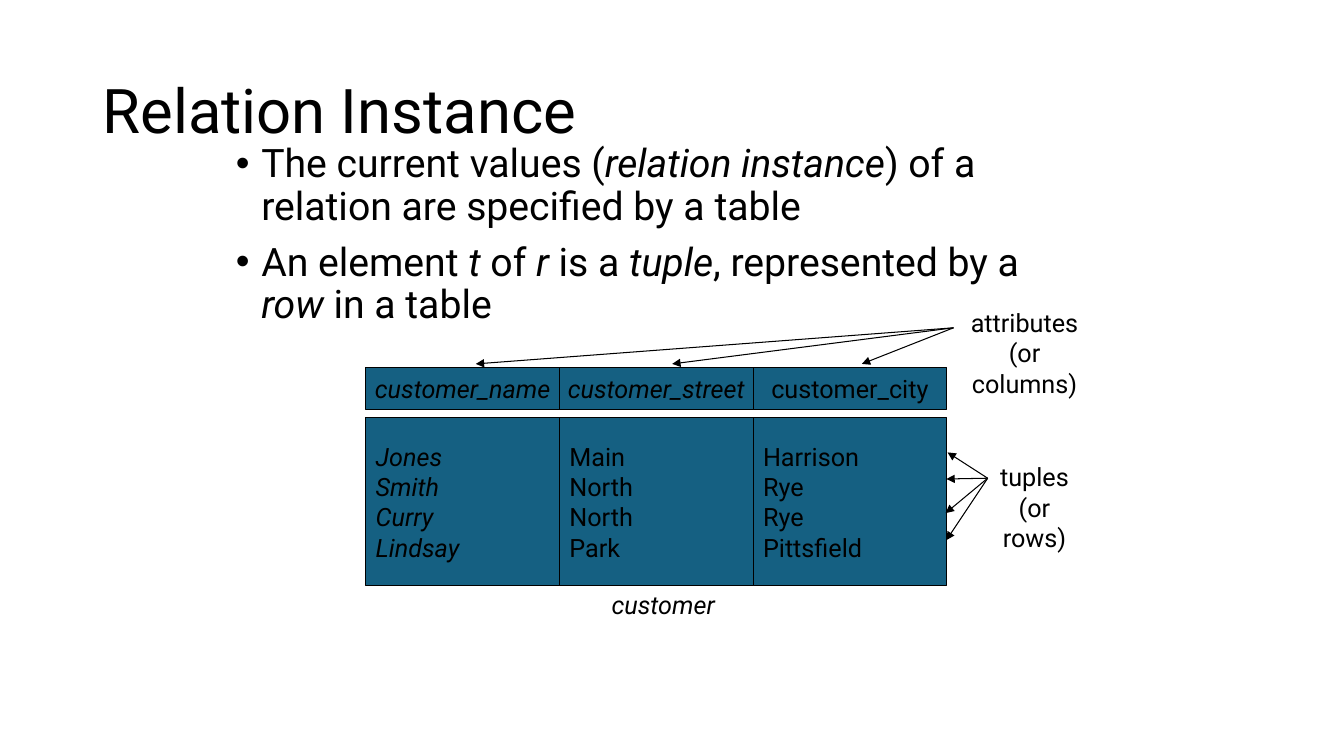
from pptx import Presentation
from pptx import util as u
from pptx.dml.color import RGBColor
from pptx.enum import shapes, text
from pptx.oxml.ns import qn
from lxml import etree

BLACK = RGBColor(0x00, 0x00, 0x00)
TEAL = RGBColor(0x15, 0x60, 0x82)
FONT = "Roboto"
LEFT, CENTER = text.PP_ALIGN.LEFT, text.PP_ALIGN.CENTER
TOP, MIDDLE = text.MSO_ANCHOR.TOP, text.MSO_ANCHOR.MIDDLE

# Attribute name, whether it is italic, its values, whether they are italic
CUSTOMER = [
    ("customer_name", True, ["Jones", "Smith", "Curry", "Lindsay"], True),
    ("customer_street", True, ["Main", "North", "North", "Park"], False),
    ("customer_city", False, ["Harrison", "Rye", "Rye", "Pittsfield"], False),
]
# Each point is a list of (words, italic)
POINTS = [
    [("The current values (", False), ("relation instance", True),
     (") of a relation are specified by a table", False)],
    [("An element ", False), ("t", True), (" of ", False), ("r", True),
     (" is a ", False), ("tuple", True), (", represented by a ", False),
     ("row ", True), ("in a table", False)],
]


def place(part, box):
    part.left, part.top, part.width, part.height = (u.Cm(v) for v in box)


def style_run(run, size, italic=False):
    run.font.name = FONT
    run.font.size = u.Pt(size)
    run.font.italic = italic
    run.font.color.rgb = BLACK


def write_lines(frame, lines, italic=False, align=CENTER, anchor=MIDDLE, inset=0.25):
    frame.word_wrap = True
    frame.vertical_anchor = anchor
    frame.margin_left = frame.margin_right = u.Cm(inset)
    frame.text = "\n".join(lines)
    for line in frame.paragraphs:
        line.alignment = align
        for run in line.runs:
            style_run(run, 18, italic)


def add_label(slide, box, lines, **style):
    label = slide.shapes.add_textbox(*(u.Cm(v) for v in box))
    write_lines(label.text_frame, lines, **style)
    label.text_frame.auto_size = text.MSO_AUTO_SIZE.SHAPE_TO_FIT_TEXT


def add_cell(slide, box, lines, **style):
    cell = slide.shapes.add_shape(shapes.MSO_SHAPE.RECTANGLE, *(u.Cm(v) for v in box))
    cell.shadow.inherit = False
    cell.fill.solid()
    cell.fill.fore_color.rgb = TEAL
    cell.line.color.rgb = BLACK
    cell.line.width = u.Pt(0.75)
    write_lines(cell.text_frame, lines, **style)


def add_arrow(slide, start, end):
    arrow = slide.shapes.add_connector(
        shapes.MSO_CONNECTOR.STRAIGHT, *(u.Cm(v) for v in start + end))
    arrow.line.color.rgb = BLACK
    arrow.line.width = u.Pt(0.75)
    etree.SubElement(arrow.line._get_or_add_ln(), qn("a:tailEnd"), type="triangle")
    etree.SubElement(arrow._element.spPr, qn("a:effectLst"))


def fill_title(slide, box):
    title = slide.shapes.title
    place(title, box)
    frame = title.text_frame
    frame.text = "Relation Instance"
    frame.auto_size = text.MSO_AUTO_SIZE.NONE
    frame.vertical_anchor = MIDDLE
    heading = frame.paragraphs[0]
    heading.alignment = LEFT
    heading.line_spacing = 0.9
    style_run(heading.runs[0], 44)


def fill_points(slide, box):
    body = slide.placeholders[1]
    place(body, box)
    frame = body.text_frame
    frame.auto_size = text.MSO_AUTO_SIZE.NONE
    for number, pieces in enumerate(POINTS):
        point = frame.add_paragraph() if number else frame.paragraphs[0]
        point.line_spacing = 0.9
        point.space_before = u.Pt(10)
        indent = u.Cm(0.64)
        properties = point._p.get_or_add_pPr()
        properties.set("marL", str(indent))
        properties.set("indent", str(-indent))
        etree.SubElement(properties, qn("a:buFont"), typeface="Arial")
        etree.SubElement(properties, qn("a:buChar"), char="•")
        for words, italic in pieces:
            run = point.add_run()
            run.text = words
            style_run(run, 28, italic)


def draw_relation(slide, box):
    left, top, width, height = box
    header_height, gap = 1.07, 0.2
    column_width = width / len(CUSTOMER)
    rows_top = top + header_height + gap
    rows_height = height - header_height - gap

    # Header cells and columns of values
    for number, (attribute, name_italic, values, values_italic) in enumerate(CUSTOMER):
        x = left + number * column_width
        add_cell(slide, (x, rows_top, column_width, rows_height), values,
                 italic=values_italic, align=LEFT)
        add_cell(slide, (x, top, column_width, header_height), [attribute],
                 italic=name_italic, inset=0)

    # Name of the relation
    add_label(slide, (left + 5.92, top + 5.48, 3.15, 1.02), ["customer"],
              italic=True, inset=0)

    # Labels, each with a fan of arrows
    add_label(slide, (left + 14.58, top - 1.63, 4.04, 1.78),
              ["attributes", "(or columns)"], anchor=TOP, inset=0.5)
    for x in (2.77, 7.72, 12.5):
        add_arrow(slide, (left + 14.81, top - 0.99), (left + x, top - 0.08))
    add_label(slide, (left + 15.34, top + 2.26, 3.02, 1.78),
              ["tuples", "(or rows)"], anchor=TOP, inset=0.5)
    for x, y in ((14.66, 2.15), (14.63, 2.82), (14.61, 3.68), (14.63, 4.36)):
        add_arrow(slide, (left + 15.67, top + 2.8), (left + x, top + y))


def main():
    prs = Presentation()
    prs.slide_width, prs.slide_height = u.Cm(33.87), u.Cm(19.05)
    slide = prs.slides.add_slide(prs.slide_layouts[1])
    fill_title(slide, (2.33, 1.01, 29.21, 3.68))
    fill_points(slide, (5.69, 3.5, 20.57, 5.49))
    draw_relation(slide, (9.22, 9.25, 14.64, 5.51))
    prs.save("out.pptx")


if __name__ == "__main__":
    main()
